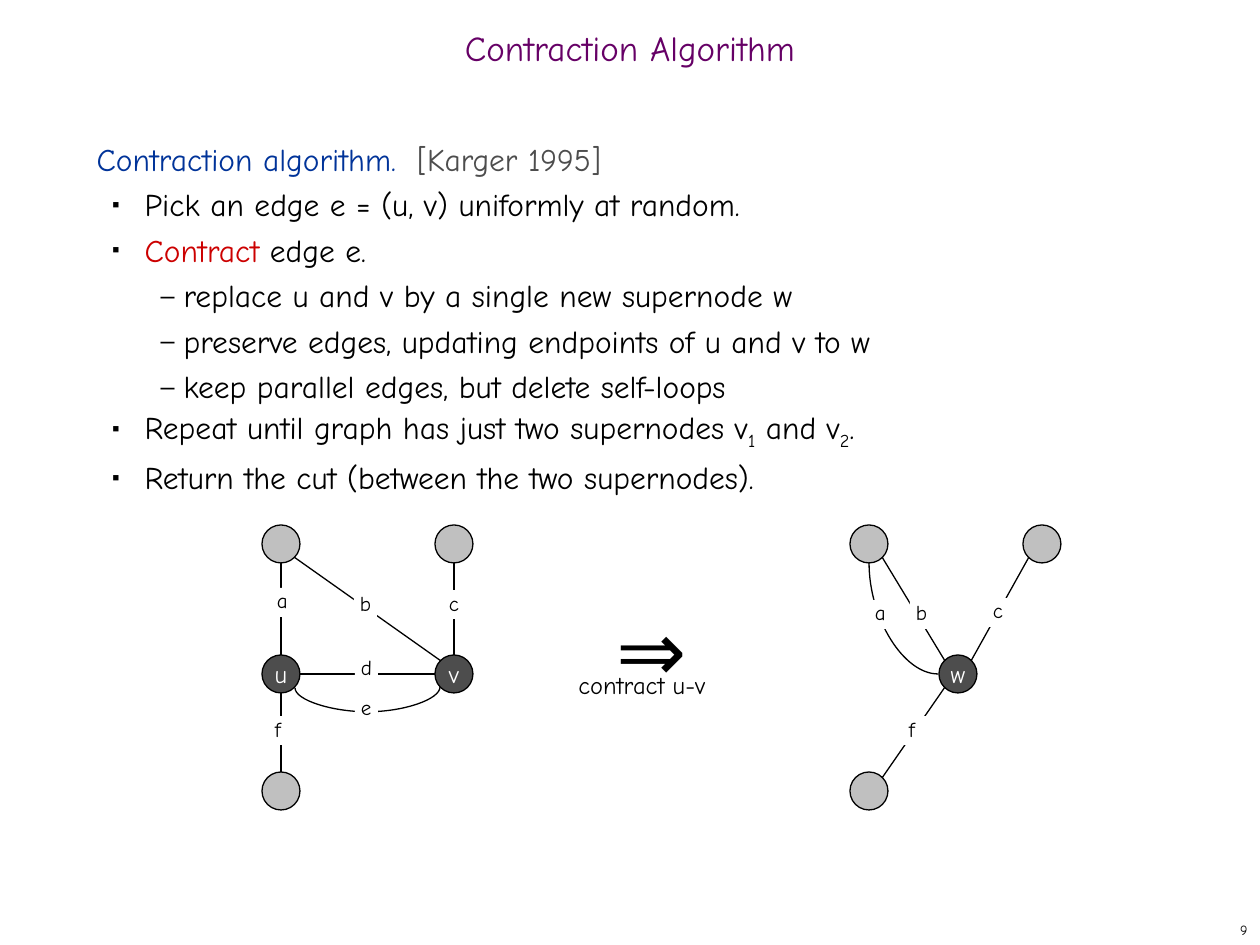
from lxml import etree
from pptx import Presentation
from pptx.dml.color import RGBColor
from pptx.enum.shapes import MSO_CONNECTOR, MSO_SHAPE
from pptx.enum.text import MSO_ANCHOR, MSO_AUTO_SIZE, PP_ALIGN
from pptx.oxml.ns import qn
from pptx.util import Emu, Pt

STRAIGHT, CURVE = MSO_CONNECTOR.STRAIGHT, MSO_CONNECTOR.CURVE
OVAL = MSO_SHAPE.OVAL
LEFT, CENTER, RIGHT = PP_ALIGN.LEFT, PP_ALIGN.CENTER, PP_ALIGN.RIGHT
TOP, MIDDLE = MSO_ANCHOR.TOP, MSO_ANCHOR.MIDDLE
NO_FIT = MSO_AUTO_SIZE.NONE

SCALE = 914400 / 126
FONT = "Comic Neue"
COLORS = {
    "black": "000000", "white": "FFFFFF", "purple": "660066", "blue": "003399",
    "red": "CC0000", "dark": "4D4D4D", "light": "C0C0C0",
}
RADIUS, DIAGONAL = 19, 13

BULLETS = {1: ("■", 35000, 48, -32), 2: ("–", 80000, 87, -23)}
BODY = [
    (0, [("Contraction algorithm.  ", "blue", 0), ("[Karger 1995]", "dark", 0)]),
    (1, [("Pick an edge e = (u, v) uniformly at random.", "black", 0)]),
    (1, [("Contract", "red", 0), (" edge e.", "black", 0)]),
    (2, [("replace u and v by a single new supernode w", "black", 0)]),
    (2, [("preserve edges, updating endpoints of u and v to w", "black", 0)]),
    (2, [("keep parallel edges, but delete self-loops", "black", 0)]),
    (1, [("Repeat until graph has just two supernodes v", "black", 0),
         ("1", "black", -25000), (" and v", "black", 0),
         ("2", "black", -25000), (".", "black", 0)]),
    (1, [("Return the cut (between the two supernodes).", "black", 0)]),
]

NODES = {
    "u": (281, 674), "v": (454, 674), "w": (958, 674),
    "before left": (281, 544), "before right": (454, 544), "before bottom": (281, 791),
    "after left": (869, 544), "after right": (1042, 544), "after bottom": (869, 791),
}
EDGES = [
    ("u", (1, 0), "v", (-1, 0)),
    ("before left", (0, 1), "u", (0, -1)),
    ("before right", (0, 1), "v", (0, -1)),
    ("before left", (1, 1), "v", (-1, -1)),
    ("u", (0, 1), "before bottom", (0, -1)),
    ("after right", (-1, 1), "w", (1, -1)),
    ("after left", (1, 1), "w", (-1, -1)),
    ("w", (-1, 1), "after bottom", (1, -1)),
]
EDGE_LABELS = [
    ("a", 271, 588), ("b", 354, 590), ("c", 443, 590), ("d", 355, 655),
    ("e", 355, 695), ("f", 269, 716), ("a", 869, 600), ("b", 910, 600),
    ("c", 987, 598), ("f", 903, 716),
]


def px(length):
    """Turn pixels into EMU."""
    return Emu(round(length * SCALE))


def rgb(name):
    """Look up a named colour."""
    return RGBColor.from_string(COLORS[name])


def style_font(font, size, color=None):
    """Set typeface, size and, where given, colour."""
    font.name, font.size, font.bold = FONT, Pt(size), False
    if color:
        font.color.rgb = rgb(color)


def place(shape, left, top, width, height):
    """Put a shape at a pixel position."""
    shape.left, shape.top, shape.width, shape.height = map(px, (left, top, width, height))


def fill_title(title):
    """Write the slide title."""
    place(title, 0, 21, 1260, 63)
    title.text_frame.auto_size = NO_FIT
    title.text_frame.vertical_anchor = MIDDLE
    para = title.text_frame.paragraphs[0]
    para.text = "Contraction Algorithm"
    para.alignment, para.line_spacing = CENTER, 0.7
    style_font(para.font, 20, "purple")


def add_bullet(para, level):
    """Give a paragraph the indent and bullet of its level."""
    properties = para._p.get_or_add_pPr()
    if level not in BULLETS:
        properties.set("marL", "0")
        properties.set("indent", "0")
        etree.SubElement(properties, qn("a:buNone"))
        return
    mark, size, margin, indent = BULLETS[level]
    properties.set("marL", str(px(margin)))
    properties.set("indent", str(px(indent)))
    color = etree.SubElement(properties, qn("a:buClr"))
    etree.SubElement(color, qn("a:srgbClr"), val=COLORS["black"])
    etree.SubElement(properties, qn("a:buSzPct"), val=str(size))
    etree.SubElement(properties, qn("a:buChar"), char=mark)


def fill_body(body):
    """Write the steps of the algorithm."""
    place(body, 84, 126, 1081, 746)
    frame = body.text_frame
    frame.auto_size, frame.vertical_anchor = NO_FIT, TOP
    for index, (level, pieces) in enumerate(BODY):
        para = frame.add_paragraph() if index else frame.paragraphs[0]
        para.level = level
        add_bullet(para, level)
        para.line_spacing, para.space_before = Pt(26), Pt(0)
        style_font(para.font, 18)
        for text, color, baseline in pieces:
            span = para.add_run()
            span.text = text
            span.font.color.rgb = rgb(color)
            if baseline:
                span._r.get_or_add_rPr().set("baseline", str(baseline))


def add_text(slide, text, area, size, alignment=LEFT, anchor=TOP):
    """Add a one-line text box."""
    box = slide.shapes.add_textbox(*map(px, area))
    box.text_frame.word_wrap = False
    box.text_frame.vertical_anchor = anchor
    para = box.text_frame.paragraphs[0]
    para.text, para.alignment = text, alignment
    style_font(para.font, size, "black")
    return box


def add_edge_label(slide, text, left, top):
    """Add an edge name on a white patch."""
    box = add_text(slide, text, (left, top, 23, 29), 12)
    box.fill.solid()
    box.fill.fore_color.rgb = rgb("white")
    frame = box.text_frame
    frame.margin_left = frame.margin_right = px(6)
    frame.margin_top = frame.margin_bottom = 0


def add_node(slide, name, center):
    """Add a graph node; those with one-letter names are dark and lettered."""
    x, y = center
    node = slide.shapes.add_shape(
        OVAL, px(x - RADIUS), px(y - RADIUS), px(2 * RADIUS), px(2 * RADIUS))
    node.shadow.inherit = False
    lettered = len(name) == 1
    node.fill.solid()
    node.fill.fore_color.rgb = rgb("dark" if lettered else "light")
    node.line.color.rgb, node.line.width = rgb("black"), Pt(0.75)
    if lettered:
        node.text_frame.word_wrap = False
        node.text_frame.vertical_anchor = MIDDLE
        para = node.text_frame.paragraphs[0]
        para.text, para.alignment = name, CENTER
        style_font(para.font, 14, "white")


def rim_point(name, direction):
    """Find the point on a node's rim in one of eight directions."""
    reach = RADIUS if 0 in direction else DIAGONAL
    return [place + step * reach for place, step in zip(NODES[name], direction)]


def add_line(slide, kind, start, end):
    """Add a thin black connector."""
    line = slide.shapes.add_connector(kind, *map(px, (*start, *end)))
    line.line.color.rgb, line.line.width = rgb("black"), Pt(0.75)
    etree.SubElement(line._element.spPr, qn("a:effectLst"))
    return line


def add_curve(slide, start, end, preset, turn, flip=False, bend=None):
    """Add a curved connector in a turned frame."""
    properties = add_line(slide, CURVE, start, end)._element.spPr
    frame = properties.find(qn("a:xfrm"))
    frame.set("rot", str(turn * 60000))
    if flip:
        frame.set("flipH", "1")
    geometry = properties.find(qn("a:prstGeom"))
    geometry.set("prst", preset)
    if bend:
        guides = geometry.find(qn("a:avLst"))
        etree.SubElement(guides, qn("a:gd"), name="adj1", fmla=f"val {bend}")


def main():
    """Build the slide and save it."""
    deck = Presentation()
    deck.slide_width, deck.slide_height = px(1260), px(945)
    slide = deck.slides.add_slide(deck.slide_layouts[1])
    fill_title(slide.shapes.title)
    fill_body(slide.placeholders[1])
    add_text(slide, "9", (998, 914, 262, 31), 8, RIGHT, MIDDLE)
    for name, center in NODES.items():
        add_node(slide, name, center)
    for start, leaving, end, arriving in EDGES:
        add_line(slide, STRAIGHT, rim_point(start, leaving), rim_point(end, arriving))
    add_curve(slide, (367, 615), (368, 760), "curvedConnector3", 90, bend=2500000)
    add_curve(slide, (848, 584), (959, 653), "curvedConnector2", 270, flip=True)
    add_text(slide, "⇒", (604, 591, 108, 113), 48)
    add_text(slide, "contract u-v", (566, 664, 166, 47), 14)
    for text, left, top in EDGE_LABELS:
        add_edge_label(slide, text, left, top)
    deck.save("out.pptx")


if __name__ == "__main__":
    main()
